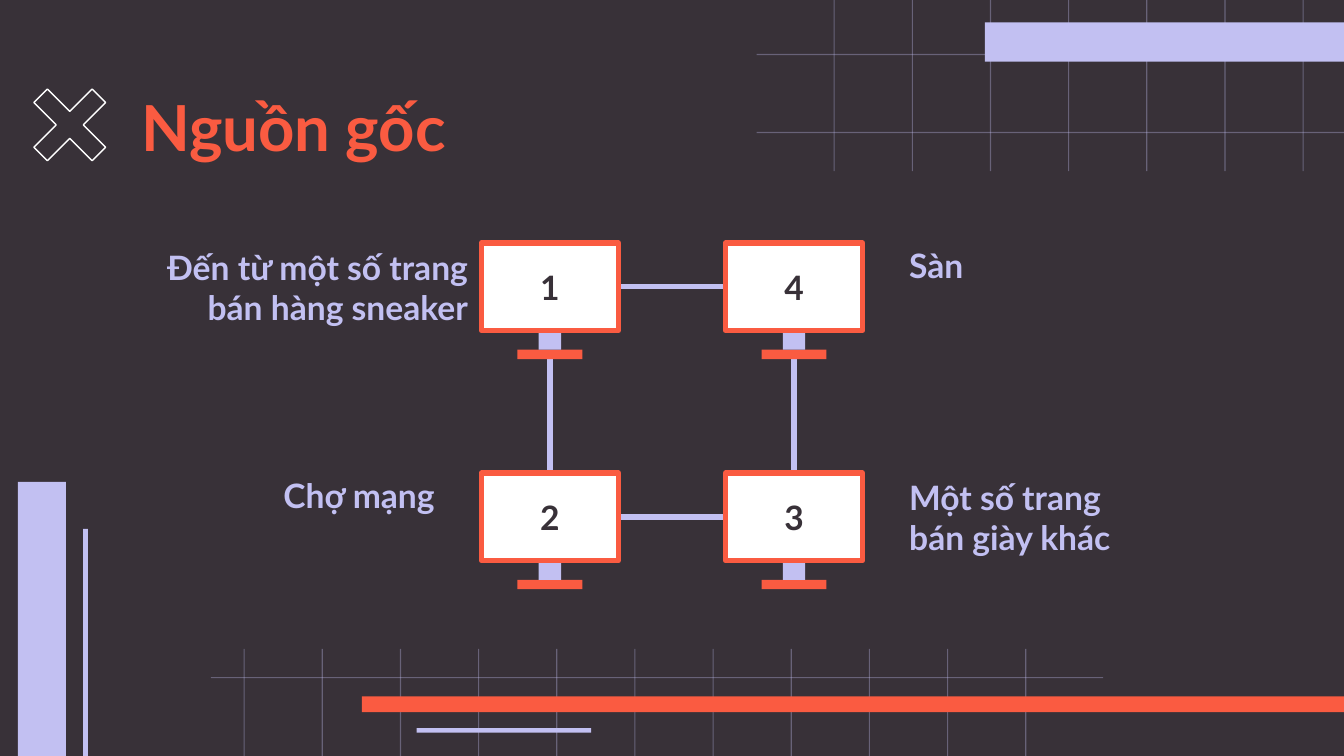
from dataclasses import dataclass

from lxml.etree import SubElement as Sub
from pptx import Presentation
from pptx.dml.color import RGBColor as Rgb
from pptx.enum.shapes import MSO_CONNECTOR as Link, MSO_SHAPE as Form
from pptx.enum.text import MSO_ANCHOR as Anchor, PP_ALIGN as Align
from pptx.oxml.ns import qn
from pptx.util import Pt


@dataclass(frozen=True)
class Theme:
    dark: Rgb = Rgb.from_string("383138")
    lilac: Rgb = Rgb.from_string("C2C0F2")
    coral: Rgb = Rgb.from_string("FA5B41")
    white: Rgb = Rgb.from_string("FFFFFF")
    font: str = "Lato"
    head: int = 34
    body: int = 18


THEME = Theme()
WIDE, HIGH = 720, 405
STEP = 41.87


def text(shape, words, size=THEME.body, color=THEME.lilac, align=Align.LEFT):
    frame = shape.text_frame
    frame.word_wrap = True
    frame.vertical_anchor = Anchor.MIDDLE
    frame.margin_left = frame.margin_right = Pt(7.2)
    frame.margin_top = frame.margin_bottom = Pt(7.2)
    para = frame.paragraphs[0]
    para.alignment = align
    run = para.add_run()
    run.text = words
    font = run.font
    font.name, font.size, font.bold = THEME.font, Pt(size), True
    font.color.rgb = color


def label(slide, box, words, **style):
    text(slide.shapes.add_textbox(*map(Pt, box)), words, **style)


def block(shapes, box, fill=None, edge=None, width=0, form=Form.RECTANGLE):
    shape = shapes.add_shape(form, *map(Pt, box))
    shape.shadow.inherit = False
    if fill is None:
        shape.fill.background()
    else:
        shape.fill.solid()
        shape.fill.fore_color.rgb = fill
    if edge is None:
        shape.line.fill.background()
    else:
        shape.line.color.rgb = edge
        shape.line.width = Pt(width)
    return shape


def line(slide, start, end, width=3, alpha=None):
    wire = slide.shapes.add_connector(Link.STRAIGHT, *map(Pt, start + end))
    wire.line.color.rgb = THEME.lilac
    wire.line.width = Pt(width)
    props = wire.element.spPr
    if alpha is not None:
        color = props.find(".//" + qn("a:srgbClr"))
        Sub(color, qn("a:alpha")).set("val", str(alpha * 1000))
    Sub(props, qn("a:effectLst"))


def grid(slide, left, right, top, base, first, cols, rows):
    for i in range(cols):
        x = first + i * STEP
        line(slide, (x, top), (x, base), width=0.6, alpha=35)
    for y in rows:
        line(slide, (left, y), (right, y), width=0.6, alpha=35)


def screen(slide, mid, top, number):
    parts = slide.shapes.add_group_shape().shapes
    block(parts, (mid - 17.4, top + 57.2, 34.8, 5), THEME.coral)
    block(parts, (mid - 6, top + 46.8, 12, 10.4), THEME.lilac)
    face = block(parts, (mid - 36.7, top, 73.4, 46.8),
                 THEME.white, THEME.coral, 3)
    text(face, number, color=THEME.dark, align=Align.CENTER)


def decor(slide):
    grid(slide, 405.4, WIDE, 0, 91.7, 446.9, 7, (29.2, 71))
    grid(slide, 113, 591, 347.6, HIGH, 130.8, 11, (363,))
    bars = (
        ((193.8, 373, 526.2, 8.6), THEME.coral),
        ((9.6, 258.2, 25.8, 146.8), THEME.lilac),
        ((44.6, 283.4, 2.6, 121.6), THEME.lilac),
        ((223.2, 390.1, 93.5, 2.5), THEME.lilac),
        ((527.6, 12, 192.4, 21), THEME.lilac),
    )
    for box, fill in bars:
        block(slide.shapes, box, fill)
    cross = block(slide.shapes, (7.4, 36.9, 60, 60), edge=THEME.white,
                  width=0.75, form=Form.MATH_MULTIPLY)
    cross.adjustments[0] = 0.171


def cycle(slide):
    cols, rows = (294.6, 425.4), (130.2, 253.5)
    for y in rows:
        line(slide, (cols[0] + 36.7, y + 23.4), (cols[1] - 36.7, y + 23.4))
    for x in cols:
        line(slide, (x, rows[0] + 62.2), (x, rows[1]))
    for x, marks in zip(cols, ("12", "43")):
        for y, mark in zip(rows, marks):
            screen(slide, x, y, mark)


def main():
    deck = Presentation()
    deck.slide_width, deck.slide_height = Pt(WIDE), Pt(HIGH)
    slide = deck.slides.add_slide(deck.slide_layouts[6])
    slide.background.fill.solid()
    slide.background.fill.fore_color.rgb = THEME.dark
    decor(slide)
    label(slide, (68.6, 42.5, 581.8, 49.7), "Nguồn gốc",
          size=THEME.head, color=THEME.coral)
    label(slide, (78.6, 137.6, 179.2, 32.4),
          "Đến từ một số trang bán hàng sneaker", align=Align.RIGHT)
    label(slide, (94.8, 254.2, 145.2, 22.3), "Chợ mạng", align=Align.RIGHT)
    label(slide, (480, 131, 145.4, 22.3), "Sàn")
    label(slide, (480, 265.7, 145.4, 22.3), "Một số trang bán giày khác")
    cycle(slide)
    deck.save("out.pptx")


if __name__ == "__main__":
    main()
